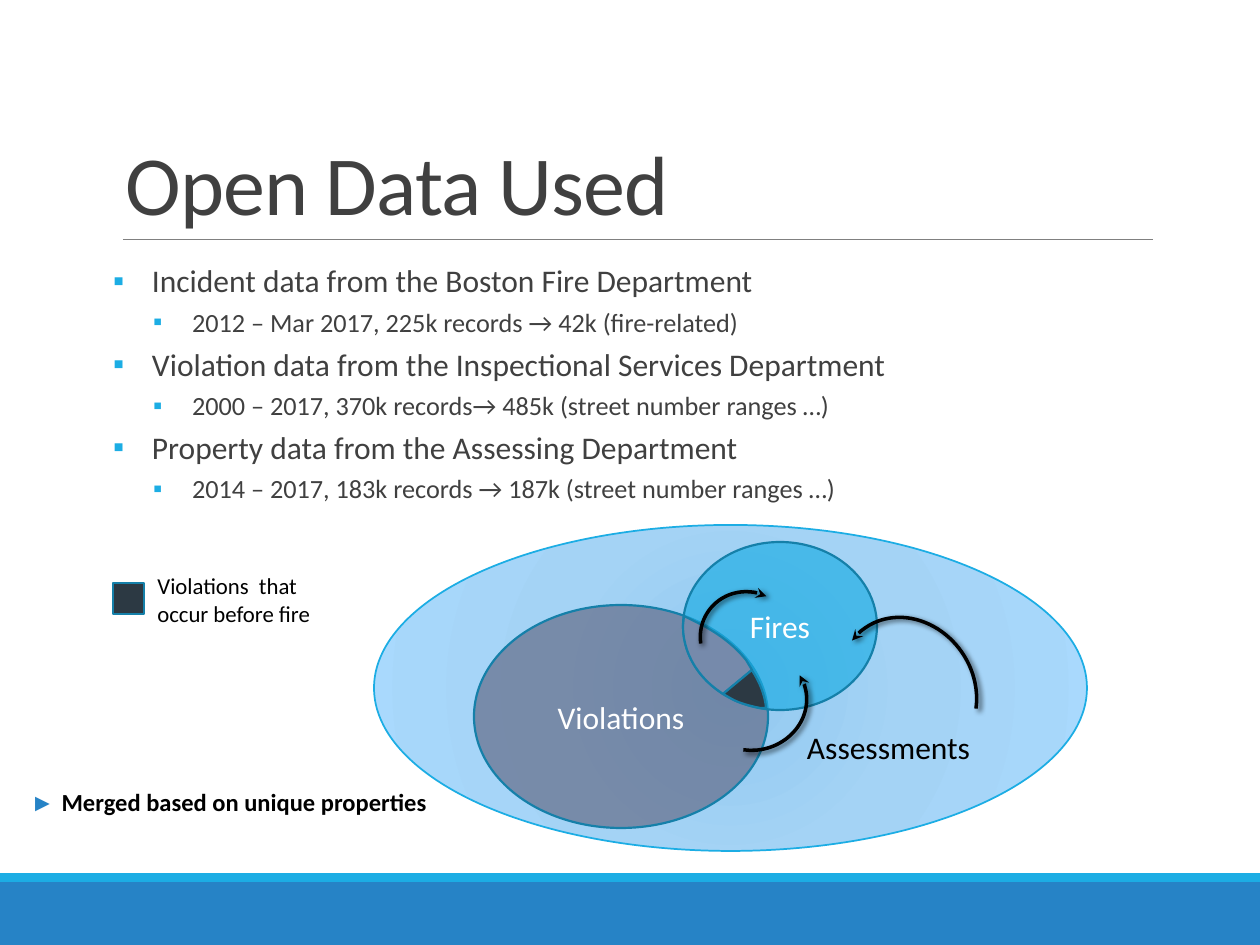
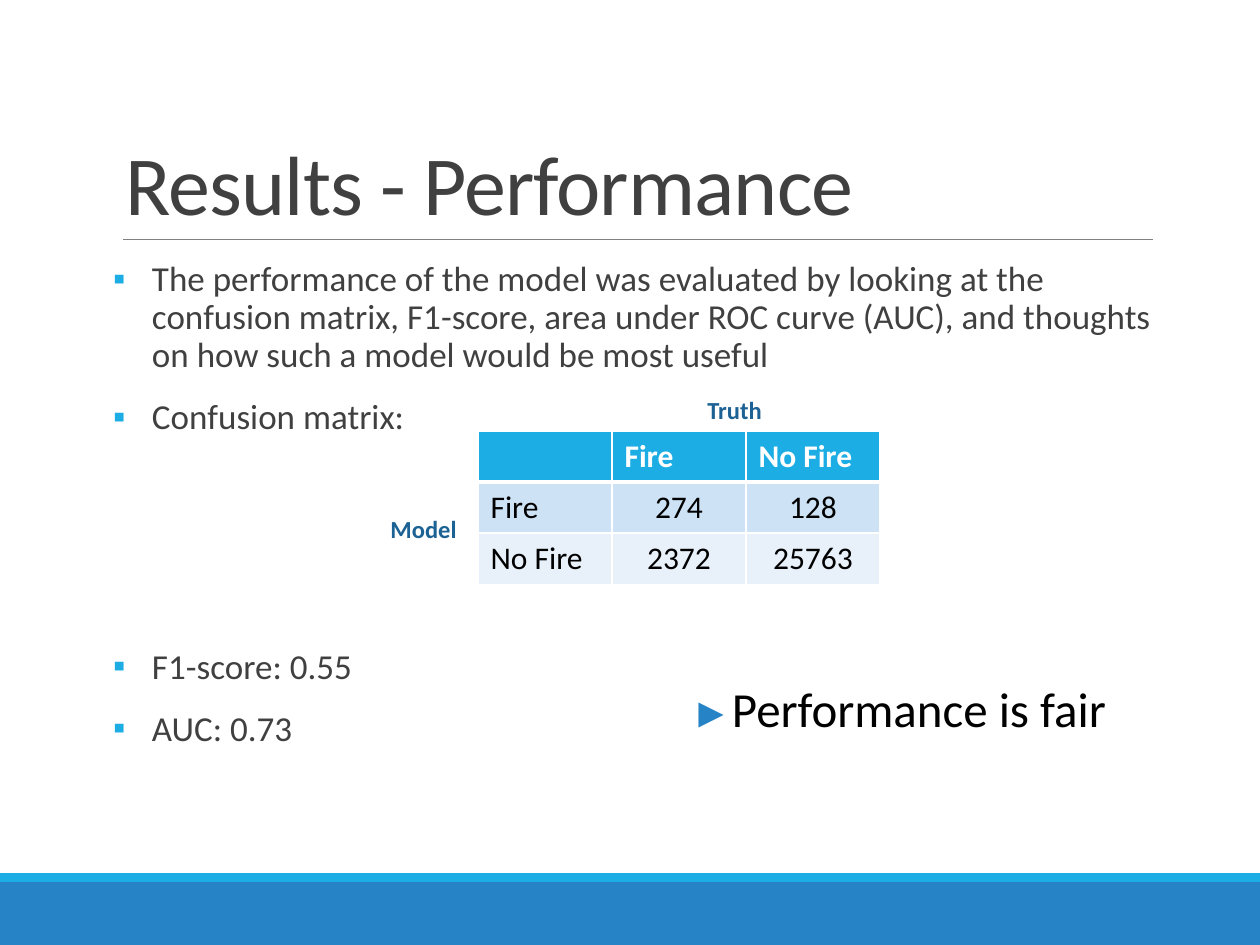
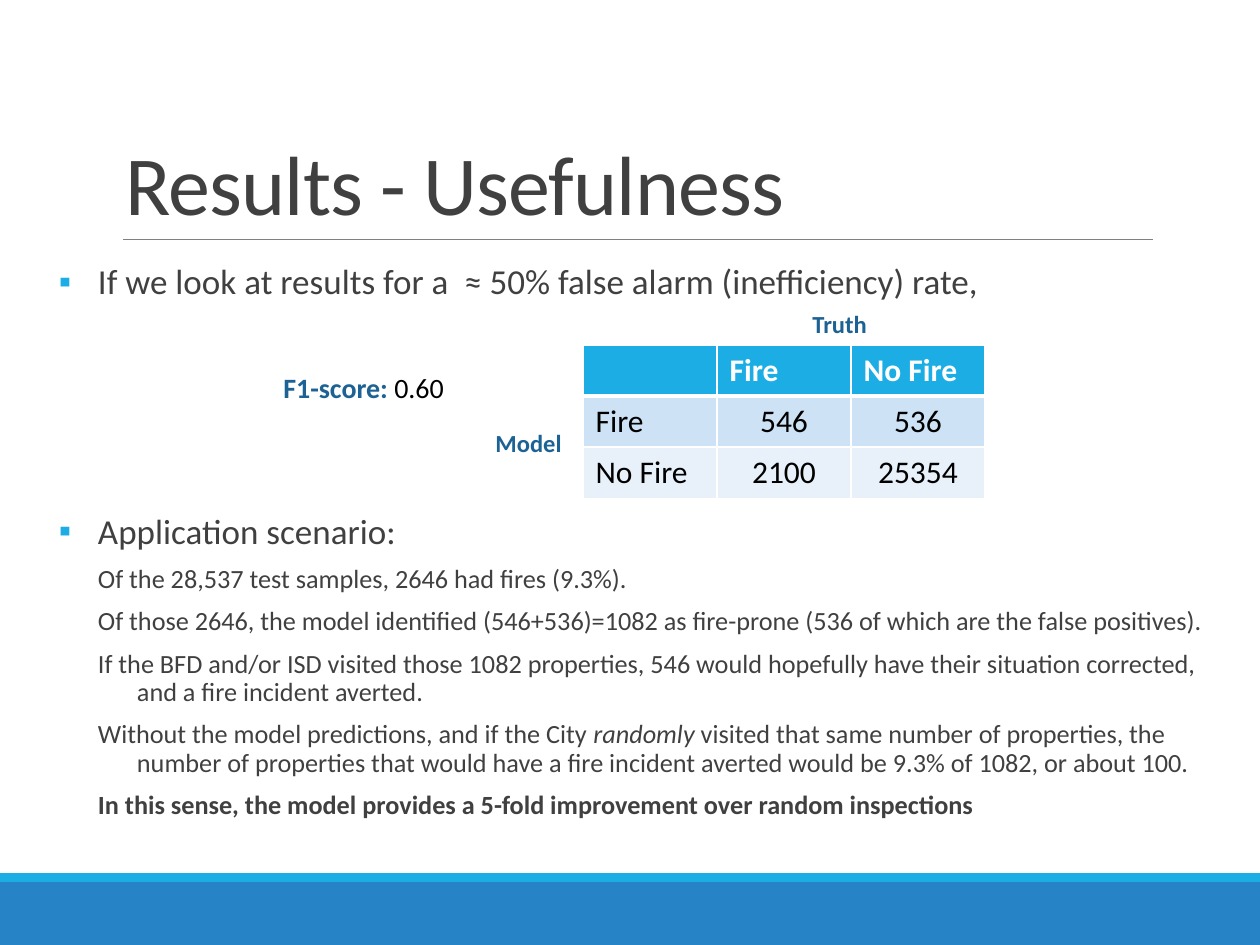
from lxml import etree
from pptx import Presentation
from pptx.dml.color import RGBColor
from pptx.enum.shapes import MSO_CONNECTOR, MSO_SHAPE
from pptx.enum.text import MSO_ANCHOR, MSO_AUTO_SIZE, PP_ALIGN
from pptx.oxml import parse_xml
from pptx.oxml.ns import nsdecls, qn
from pptx.util import Emu, Pt

SCALE = 914400 / 126
FONT, SYMBOL_FONT = "Calibri", "Arial"
LEFT, CENTER, RIGHT = PP_ALIGN.LEFT, PP_ALIGN.CENTER, PP_ALIGN.RIGHT
TOP, MIDDLE, BOTTOM = MSO_ANCHOR.TOP, MSO_ANCHOR.MIDDLE, MSO_ANCHOR.BOTTOM
NO_FIT, GROW = MSO_AUTO_SIZE.NONE, MSO_AUTO_SIZE.SHAPE_TO_FIT_TEXT
RECTANGLE, OVAL, ARC = MSO_SHAPE.RECTANGLE, MSO_SHAPE.OVAL, MSO_SHAPE.ARC
STRAIGHT = MSO_CONNECTOR.STRAIGHT

BLACK = RGBColor(0x00, 0x00, 0x00)
WHITE = RGBColor(0xFF, 0xFF, 0xFF)
GRAY = RGBColor(0x80, 0x80, 0x80)
TEXT = RGBColor(0x40, 0x40, 0x40)
BLUE = RGBColor(0x26, 0x83, 0xC6)
CYAN = RGBColor(0x1C, 0xAD, 0xE4)
TEAL = RGBColor(0x15, 0x80, 0xA9)
LABEL = RGBColor(0x1D, 0x62, 0x94)
SLATE = RGBColor(0x61, 0x68, 0x85)
OVERLAP = RGBColor(0x76, 0x8A, 0xAB)
DARK = RGBColor(0x2C, 0x39, 0x43)
ROW_FILLS = [CYAN, RGBColor(0xCD, 0xE3, 0xF5), RGBColor(0xE8, 0xF1, 0xFA)]
GRADIENT = [(0, "92C9F0"), (45, "A4D3F5"), (100, "A9D9FD")]

TITLE_FRAME = (113, 39, 1040, 200)
BODY_FRAME = (113, 255, 1040, 554)
WIDE_FRAME = (59, 258, 1147, 597)
BANDS = [((0, 882, 1260, 63), BLUE), ((0, 873, 1260, 9), CYAN)]
RULE = (123, 239, 1153, 239)

COLUMN, ROW = 134, 51
TRUTH_OFFSET, MODEL_OFFSET = (217, -42), (-100, 77)

MARGINS = {"margin_left": 0, "margin_right": 0}
SPACED = {"line_spacing": 0.9, "space_before": Pt(12), "space_after": Pt(2)}
TIGHT = {"line_spacing": 1.0, "space_before": Pt(0), "space_after": Pt(4)}
KINDS = {
    "source": {"size": 18, "left": 39, "bullet": True, "format": TIGHT},
    "detail": {"size": 15, "left": 79, "bullet": True,
               "format": {**TIGHT, "level": 1}},
    "point": {"size": 20, "left": 39, "bullet": True, "format": SPACED},
    "after table": {"size": 20, "left": 39, "bullet": True,
                    "format": {**SPACED, "space_before": Pt(119)}},
    "scenario": {"size": 15, "left": 78, "bullet": False,
                 "format": {**SPACED, "space_before": Pt(6)}},
}

DATA_POINTS = [
    ("source", ["Incident data from the Boston Fire Department"]),
    ("detail", ["2012 – Mar 2017, 225k records → 42k (fire-related)"]),
    ("source", ["Violation data from the Inspectional Services Department"]),
    ("detail", ["2000 – 2017, 370k records→ 485k (street number ranges …)"]),
    ("source", ["Property data from the Assessing Department"]),
    ("detail", ["2014 – 2017, 183k records → 187k (street number ranges …)"]),
]
PERFORMANCE_POINTS = [
    ("point", ["The performance of the model was evaluated by looking at the "
               "confusion matrix, F1-score, area under ROC curve (AUC), and "
               "thoughts on how such a model would be most useful"]),
    ("point", ["Confusion matrix:"]),
    ("after table", ["F1-score: 0.55"]),
    ("point", ["AUC: 0.73"]),
]
USEFULNESS_POINTS = [
    ("point", ["If we look at results for a  ≈ 50% false alarm "
               "(inefficiency) rate,"]),
    ("after table", ["Application scenario:"]),
    ("scenario", ["Of the 28,537 test samples, 2646 had fires (9.3%)."]),
    ("scenario", ["Of those 2646, the model identified (546+536)=1082 as "
                  "fire-prone (536 of which are the false positives)."]),
    ("scenario", ["If the BFD and/or ISD visited those 1082 properties, 546 "
                  "would hopefully have their situation corrected, and a fire "
                  "incident averted."]),
    ("scenario", ["Without the model predictions, and if the City ",
                  ("randomly", {"italic": True}),
                  " visited that same number of properties, the number of "
                  "properties that would have a fire incident averted would "
                  "be 9.3% of 1082, or about 100."]),
    ("scenario", [("In this sense, the model provides a 5-fold improvement "
                   "over random inspections", {"bold": True})]),
]
SLIDES = [
    ("Open Data Used", BODY_FRAME, DATA_POINTS),
    ("Results - Performance", BODY_FRAME, PERFORMANCE_POINTS),
    ("Results - Usefulness", WIDE_FRAME, USEFULNESS_POINTS),
]
MATRICES = [
    (1, (478, 431), [["274", "128"], ["2372", "25763"]]),
    (2, (583, 345), [["546", "536"], ["2100", "25354"]]),
]
CLASSES = ["Fire", "No Fire"]

CIRCLES = [
    ("Violations", (474, 605, 294, 223), SLATE),
    ("Fires", (683, 542, 194, 168), CYAN),
]
REGIONS = [
    (OVERLAP, [(684, 616), (702, 625), (719, 634, 735, 646, 746, 660),
               (752, 670), (723, 694), (716, 689),
               (696, 674, 683, 651, 683, 626)]),
    (DARK, [(752, 670), (753, 672), (760, 683, 765, 696, 766, 708),
            (760, 708), (750, 706, 738, 703, 730, 698), (723, 694)]),
]
ARROWS = [
    ((701, 653, 106, 97), 164.6, True, (145.29, 8.64)),
    ((833, 624, 150, 131), 55.6, True, (131.94, 8.64)),
    ((701, 591, 92, 94), 304.4, False, (137.26, 210.24)),
]
NOTES = [
    (0, (145, 566, 219, 68), True,
     [("Violations  that occur before fire", {"size": Pt(13)})]),
    (0, (18, 781, 425, 43), False,
     [("► ", {"size": Pt(14), "name": SYMBOL_FONT, "color": BLUE}),
      ("Merged based on unique properties", {"size": Pt(14), "bold": True})]),
    (1, (678, 672, 445, 72), False,
     [("►", {"size": Pt(24), "name": SYMBOL_FONT, "color": BLUE}),
      ("Performance is fair", {"size": Pt(28)})]),
    (2, (271, 364, 195, 47), False,
     [("F1-score: ", {"size": Pt(16), "bold": True, "color": LABEL}),
      ("0.60 ", {"size": Pt(16)})]),
]


def px(*values):
    return [Emu(round(value * SCALE)) for value in values]


def apply(target, values):
    for name, value in values.items():
        setattr(target, name, value)


def add_span(para, text, color=BLACK, **values):
    span = para.add_run()
    span.text = text
    apply(span.font, {"name": FONT, **values})
    span.font.color.rgb = color
    return span


def fill_placeholder(box, frame, **values):
    apply(box, dict(zip(("left", "top", "width", "height"), px(*frame))))
    apply(box.text_frame, {"auto_size": NO_FIT, "word_wrap": True, **values})


def add_points(frame, points):
    for number, (kind, spans) in enumerate(points):
        para = frame.add_paragraph() if number else frame.paragraphs[0]
        look = KINDS[kind]
        apply(para, {"alignment": LEFT, **look["format"]})
        properties = para._p.get_or_add_pPr()
        left, indent = px(look["left"], -39)
        properties.set("marL", str(left))
        properties.set("indent", str(indent))
        if look["bullet"]:
            color = etree.SubElement(properties, qn("a:buClr"))
            etree.SubElement(color, qn("a:srgbClr"), val=str(CYAN))
            etree.SubElement(properties, qn("a:buChar"), char="▪")
        else:
            etree.SubElement(properties, qn("a:buNone"))
        for item in spans:
            text, values = (item, {}) if isinstance(item, str) else item
            add_span(para, text, TEXT, size=Pt(look["size"]), **values)


def style_shape(shape, fill=None, line=None, width=1.25):
    shape.shadow.inherit = False
    if fill is None:
        shape.fill.background()
    else:
        shape.fill.solid()
        shape.fill.fore_color.rgb = fill
    if line is None:
        shape.line.fill.background()
    else:
        shape.line.color.rgb = line
        shape.line.width = Pt(width)


def add_shape(page, kind, frame, **look):
    shape = page.shapes.add_shape(kind, *px(*frame))
    style_shape(shape, **look)
    return shape


def add_caption(shape, text, color, alignment):
    shape.text_frame.vertical_anchor = MIDDLE
    para = shape.text_frame.paragraphs[0]
    para.alignment = alignment
    add_span(para, text, color, size=Pt(18))


def add_note(page, frame, wrap, spans):
    box = page.shapes.add_textbox(*px(*frame))
    apply(box.text_frame, {"word_wrap": wrap, "auto_size": GROW})
    for text, values in spans:
        add_span(box.text_frame.paragraphs[0], text, **values)


def add_shared_parts(page, layout):
    parts = [add_shape(page, RECTANGLE, frame, fill=color)
             for frame, color in BANDS]
    rule = page.shapes.add_connector(STRAIGHT, *px(*RULE))
    rule.line.color.rgb = GRAY
    rule.line.width = Pt(0.5)
    etree.SubElement(rule.element.spPr, qn("a:effectLst"))
    for part in parts + [rule]:
        layout.element.cSld.spTree.append(part.element)


def curve_points(start, curve, steps=12):
    x1, y1, x2, y2, x3, y3 = curve
    for step in range(1, steps + 1):
        t = step / steps
        u = 1 - t
        yield tuple(u**3 * a + 3 * u * u * t * b + 3 * u * t * t * c + t**3 * d
                    for a, b, c, d in ((start[0], x1, x2, x3),
                                       (start[1], y1, y2, y3)))


def add_region(page, color, outline):
    points = [outline[0]]
    for part in outline[1:]:
        points += [part] if len(part) == 2 else curve_points(points[-1], part)
    corners = [px(*point) for point in points]
    builder = page.shapes.build_freeform(*corners[0])
    builder.add_line_segments(corners[1:], close=True)
    style_shape(builder.convert_to_shape(), fill=color, line=TEAL)


def add_arrow(page, frame, rotation, flipped, ends):
    arc = add_shape(page, ARC, frame, line=BLACK, width=2)
    arc.rotation = rotation
    for number, end in enumerate(ends):
        arc.adjustments[number] = end
    properties = arc.element.spPr
    if flipped:
        properties.find(qn("a:xfrm")).set("flipH", "1")
    etree.SubElement(properties.find(qn("a:ln")), qn("a:tailEnd"),
                     type="stealth")
    properties.find(qn("a:effectLst")).append(parse_xml(
        f'<a:outerShdw {nsdecls("a")} blurRad="{Pt(3)}" dist="{Pt(2)}" '
        f'dir="2700000"><a:srgbClr val="{BLACK}"><a:alpha val="60000"/>'
        '</a:srgbClr></a:outerShdw>'))


def add_diagram(page):
    outer = add_shape(page, OVAL, (374, 525, 713, 326),
                      fill=CYAN, line=CYAN, width=1)
    stops = "".join(f'<a:gs pos="{place * 1000}"><a:srgbClr val="{color}"/></a:gs>'
                    for place, color in GRADIENT)
    properties = outer.element.spPr
    properties.replace(properties.find(qn("a:solidFill")), parse_xml(
        f'<a:gradFill {nsdecls("a")} rotWithShape="1"><a:gsLst>{stops}</a:gsLst>'
        '<a:path path="circle"><a:fillToRect l="100000" t="100000" '
        'r="100000" b="100000"/></a:path></a:gradFill>'))
    outer.text_frame.margin_top = px(124)[0]
    add_caption(outer, "Assessments", BLACK, RIGHT)
    for text, frame, color in CIRCLES:
        circle = add_shape(page, OVAL, frame, fill=color, line=TEAL)
        fill = circle.element.spPr.find(qn("a:solidFill"))
        etree.SubElement(fill[0], qn("a:alpha"), val="67000")
        add_caption(circle, text, WHITE, CENTER)
    for color, outline in REGIONS:
        add_region(page, color, outline)
    for arrow in ARROWS:
        add_arrow(page, *arrow)
    add_shape(page, RECTANGLE, (113, 583, 31, 31), fill=DARK, line=TEAL)


def add_borders(cell, header):
    properties = cell._tc.get_or_add_tcPr()
    for side in "LRTB":
        width = Pt(3) if header and side == "B" else Pt(1)
        line = etree.SubElement(properties, qn(f"a:ln{side}"), w=str(width))
        fill = etree.SubElement(line, qn("a:solidFill"))
        etree.SubElement(fill, qn("a:srgbClr"), val=str(WHITE))


def add_matrix(page, corner, counts):
    left, top = corner
    rows = [["", *CLASSES]] + [[name, *values]
                               for name, values in zip(CLASSES, counts)]
    size = len(rows)
    table = page.shapes.add_table(
        size, size, *px(left, top, COLUMN * size, ROW * size)).table
    for number, values in enumerate(rows):
        table.columns[number].width = px(COLUMN)[0]
        table.rows[number].height = px(ROW)[0]
        header = number == 0
        for place, text in enumerate(values):
            cell = table.cell(number, place)
            add_borders(cell, header)
            cell.fill.solid()
            cell.fill.fore_color.rgb = ROW_FILLS[number]
            para = cell.text_frame.paragraphs[0]
            para.alignment = LEFT if header or place == 0 else CENTER
            if text:
                add_span(para, text, WHITE if header else BLACK,
                         size=Pt(18), bold=header)
    for text, (x, y), width in (("Truth", TRUTH_OFFSET, 81),
                                ("Model", MODEL_OFFSET, 92)):
        add_note(page, (left + x, top + y, width, 43), False,
                 [(text, {"size": Pt(14), "bold": True, "color": LABEL})])


deck = Presentation()
deck.slide_width, deck.slide_height = px(1260, 945)
layout = deck.slide_layouts[1]
pages = []
for title, frame, points in SLIDES:
    page = deck.slides.add_slide(layout)
    pages.append(page)
    heading, body = page.placeholders
    fill_placeholder(heading, TITLE_FRAME, vertical_anchor=BOTTOM)
    para = heading.text_frame.paragraphs[0]
    apply(para, {"alignment": LEFT, "line_spacing": 0.85})
    span = add_span(para, title, TEXT, size=Pt(48))
    span._r.get_or_add_rPr().set("spc", "-50")
    fill_placeholder(body, frame, vertical_anchor=TOP, **MARGINS)
    add_points(body.text_frame, points)

add_shared_parts(pages[0], layout)
add_diagram(pages[0])
for number, corner, counts in MATRICES:
    add_matrix(pages[number], corner, counts)
for number, frame, wrap, spans in NOTES:
    add_note(pages[number], frame, wrap, spans)
deck.save("out.pptx")
